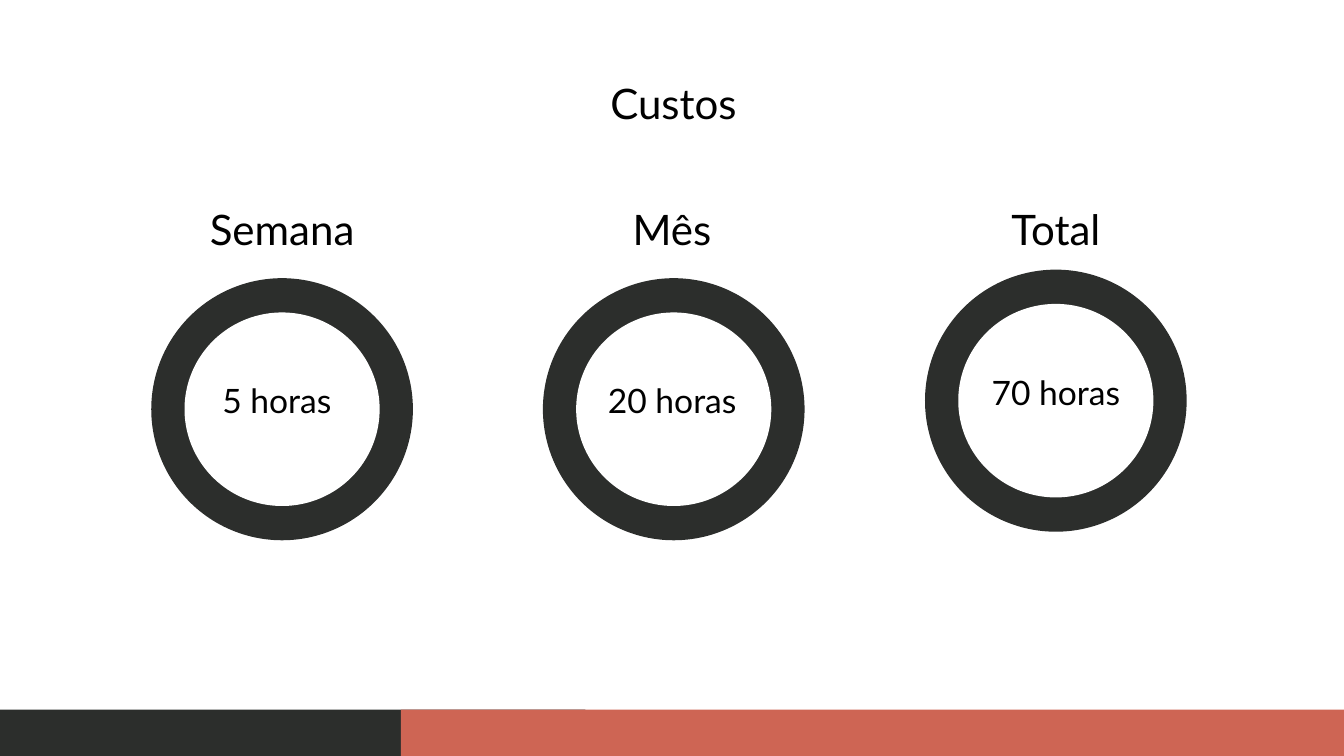
from dataclasses import dataclass

from pptx import Presentation
from pptx.dml.color import RGBColor
from pptx.enum.shapes import MSO_SHAPE
from pptx.enum.text import MSO_ANCHOR, PP_ALIGN
from pptx.util import Inches, Pt

PAGE_WIDTH = Inches(26.66)
PAGE_HEIGHT = Inches(15)
CHARCOAL = RGBColor(0x2C, 0x2E, 0x2C)
CORAL = RGBColor(0xCE, 0x65, 0x54)
WHITE = RGBColor(0xFF, 0xFF, 0xFF)
BLACK = RGBColor(0x00, 0x00, 0x00)
FONT = "Lato"


@dataclass(frozen=True)
class Area:
    """Position and size in percent of the page."""
    left: float
    top: float
    width: float
    height: float

    def lengths(self) -> tuple[int, int, int, int]:
        return (
            round(PAGE_WIDTH * self.left / 100),
            round(PAGE_HEIGHT * self.top / 100),
            round(PAGE_WIDTH * self.width / 100),
            round(PAGE_HEIGHT * self.height / 100),
        )


@dataclass(frozen=True)
class Cost:
    period: str
    period_left: float
    period_width: float
    hours: str
    hours_left: float
    hours_width: float
    hours_align: PP_ALIGN
    center_x: float
    center_y: float


COSTS = [
    Cost("Semana", 14.97, 12.04, "5 horas", 16.17, 9.26, PP_ALIGN.LEFT, 20.99, 54.13),
    Cost("Mês", 44.71, 10.58, "20 horas", 44.86, 10.58, PP_ALIGN.LEFT, 50.13, 54.13),
    Cost("Total", 72.28, 12.57, "70 horas", 72.54, 12.04, PP_ALIGN.CENTER, 78.56, 53),
]
TITLE_AREA = Area(31.43, 9.87, 37.36, 7.4)
PERIOD_TOP, PERIOD_HEIGHT = 26.2, 7.4
HOURS_RISE, HOURS_HEIGHT = 4.53, 9.13
RING_SIZE = (19.47, 34.67)
HOLE_SIZE = (14.52, 25.6)
BAR_TOP, BAR_HEIGHT = 93.87, 6.13


def write(box, text: str, size: int, align: PP_ALIGN, inset: float = 0.1) -> None:
    frame = box.text_frame
    frame.word_wrap = True
    frame.vertical_anchor = MSO_ANCHOR.TOP
    frame.margin_left = frame.margin_right = Inches(0.1)
    frame.margin_top = frame.margin_bottom = Inches(inset)
    para = frame.paragraphs[0]
    para.alignment = align
    span = para.add_run()
    span.text = text
    span.font.name = FONT
    span.font.size = Pt(size)
    span.font.color.rgb = BLACK


def add_label(page, area: Area, text: str, size: int, align: PP_ALIGN) -> None:
    write(page.shapes.add_textbox(*area.lengths()), text, size, align)


def add_solid(shapes, kind: MSO_SHAPE, area: Area, color: RGBColor) -> None:
    shape = shapes.add_shape(kind, *area.lengths())
    shape.shadow.inherit = False
    shape.fill.solid()
    shape.fill.fore_color.rgb = color
    shape.line.fill.background()


def add_disc(page, cost: Cost, size: tuple[float, float], color: RGBColor) -> None:
    width, height = size
    area = Area(cost.center_x - width / 2, cost.center_y - height / 2, width, height)
    add_solid(page.shapes, MSO_SHAPE.OVAL, area, color)


def add_cost(page, cost: Cost) -> None:
    add_disc(page, cost, RING_SIZE, CHARCOAL)
    add_disc(page, cost, HOLE_SIZE, WHITE)
    period_area = Area(cost.period_left, PERIOD_TOP, cost.period_width, PERIOD_HEIGHT)
    add_label(page, period_area, cost.period, 60, PP_ALIGN.CENTER)
    hours_area = Area(cost.hours_left, cost.center_y - HOURS_RISE, cost.hours_width, HOURS_HEIGHT)
    add_label(page, hours_area, cost.hours, 48, cost.hours_align)


def add_title(page) -> None:
    title = page.shapes.title
    title.left, title.top, title.width, title.height = TITLE_AREA.lengths()
    write(title, "Custos", 60, PP_ALIGN.CENTER, inset=0.05)


def add_footer(page) -> None:
    group = page.shapes.add_group_shape()
    for left, width, color in ((0, 43.55, CHARCOAL), (29.82, 70.18, CORAL)):
        add_solid(group.shapes, MSO_SHAPE.RECTANGLE, Area(left, BAR_TOP, width, BAR_HEIGHT), color)


def main() -> None:
    deck = Presentation()
    deck.slide_width = PAGE_WIDTH
    deck.slide_height = PAGE_HEIGHT
    page = deck.slides.add_slide(deck.slide_layouts.get_by_name("Title Only"))
    page.background.fill.solid()
    page.background.fill.fore_color.rgb = WHITE
    add_title(page)
    add_footer(page)
    for cost in COSTS:
        add_cost(page, cost)
    deck.save("out.pptx")


if __name__ == "__main__":
    main()
